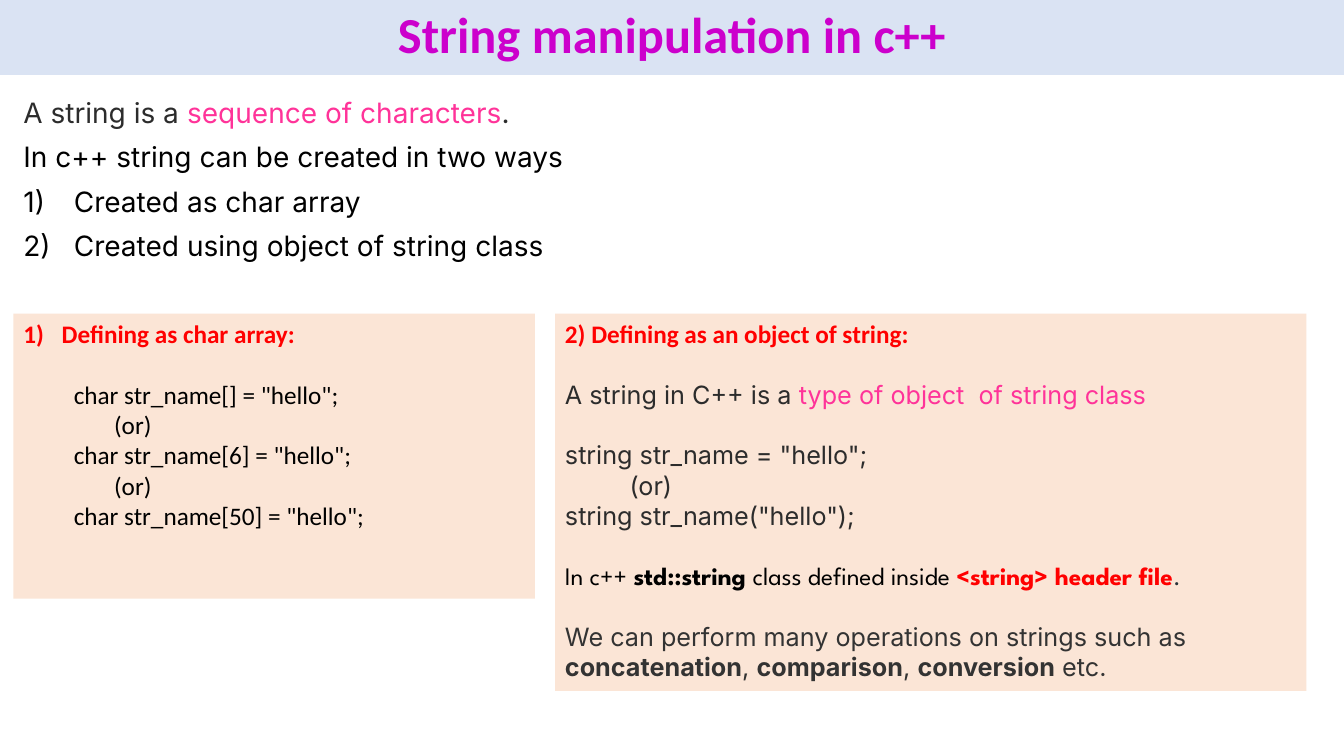
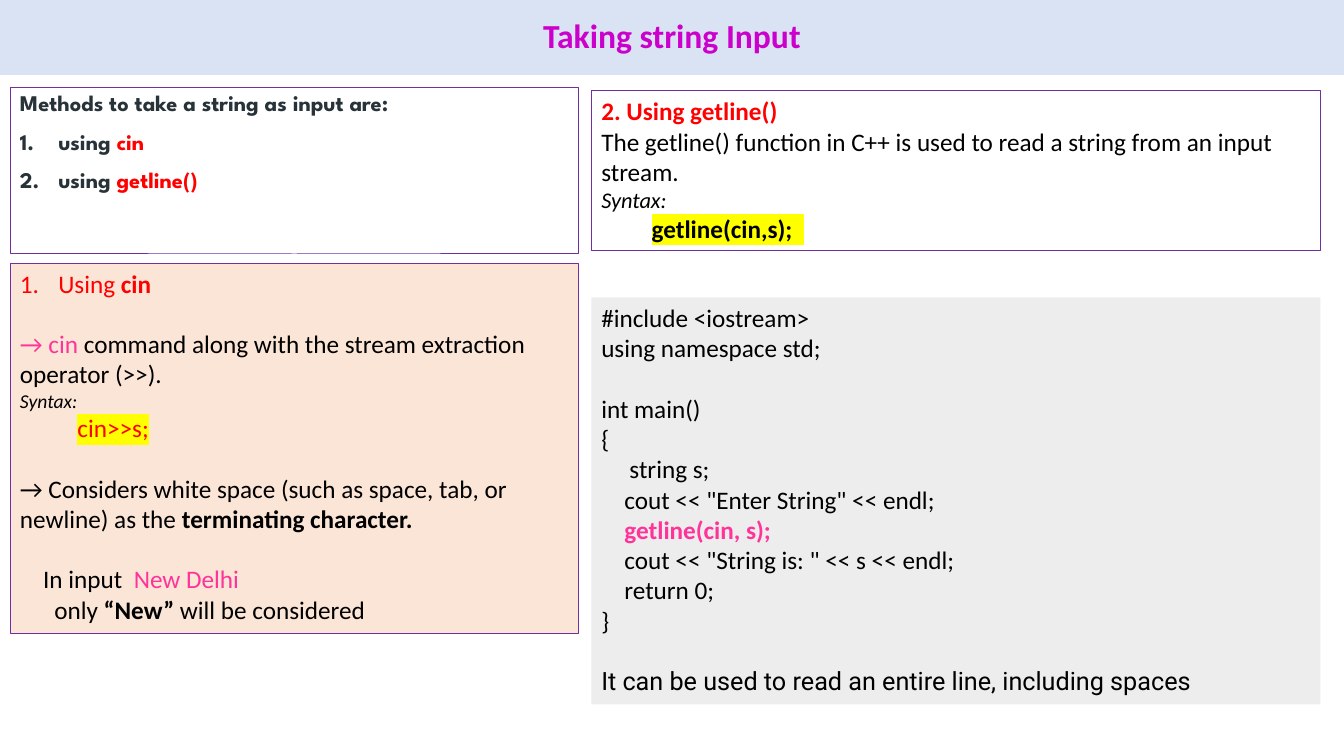
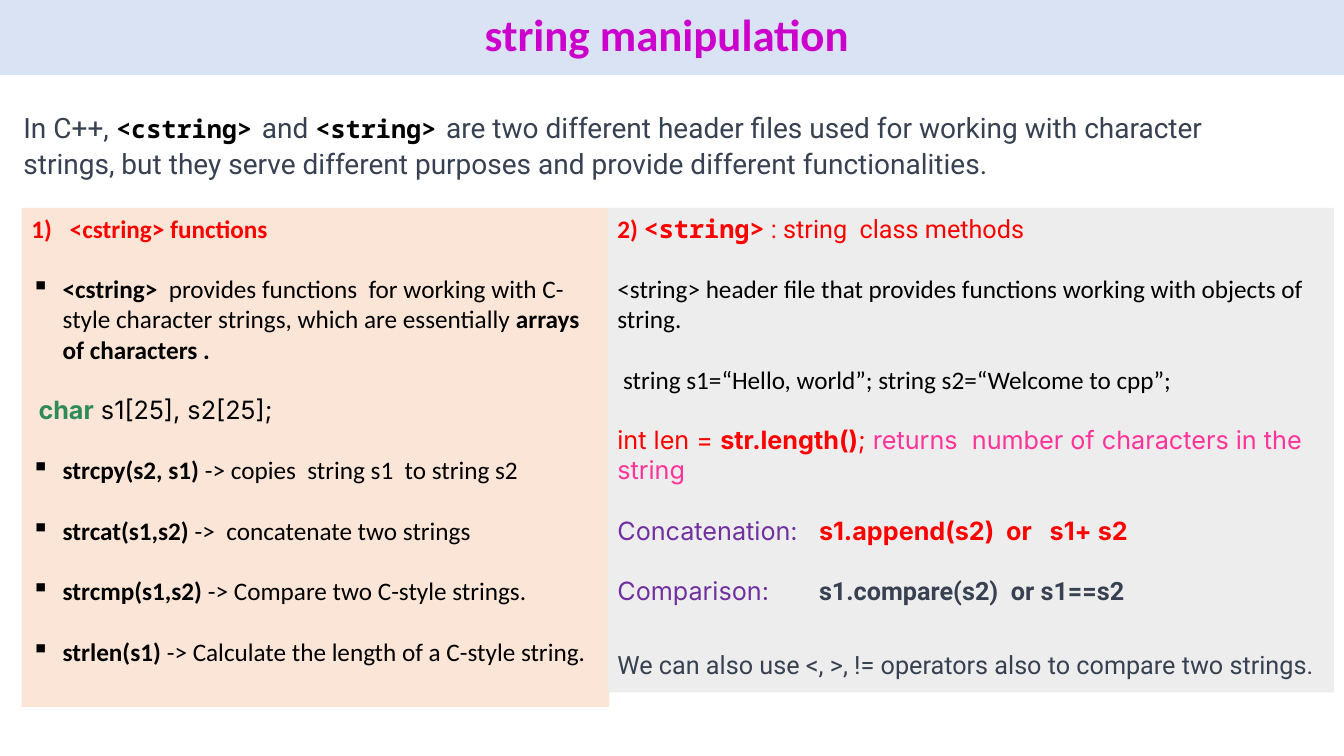
from lxml import etree
from pptx import Presentation
from pptx.dml.color import RGBColor
from pptx.enum.text import MSO_ANCHOR, MSO_AUTO_SIZE, PP_ALIGN
from pptx.oxml.ns import qn
from pptx.util import Inches, Pt

BAND = RGBColor(0xDA, 0xE3, 0xF3)
MAGENTA = RGBColor(0xCC, 0x00, 0xCC)
PEACH = RGBColor(0xFB, 0xE5, 0xD6)
GRAY = RGBColor(0xED, 0xED, 0xED)
PURPLE = RGBColor(0x70, 0x30, 0xA0)
RED = RGBColor(0xFF, 0x00, 0x00)
PINK = RGBColor(0xFF, 0x33, 0x99)
GREEN = RGBColor(0x2E, 0x8B, 0x57)
YELLOW = RGBColor(0xFF, 0xFF, 0x00)
BLACK = RGBColor(0x00, 0x00, 0x00)
CHARCOAL = RGBColor(0x2C, 0x2C, 0x2C)
DARK = RGBColor(0x33, 0x33, 0x33)
TEAL = RGBColor(0x27, 0x32, 0x39)
SLATE = RGBColor(0x37, 0x41, 0x51)

SANS, INTER, ROBOTO = "Calibri", "Inter", "Roboto"
SPARTAN, MONO = "League Spartan", "Noto Sans Mono"
GAP = 21.6  # one 18 pt line, in points

prs = Presentation()
prs.slide_width, prs.slide_height = Inches(13.33), Inches(7.5)
COL, ROW = prs.slide_width / 100, prs.slide_height / 100


def add_box(s, x, y, w, h, fill=None, line=None):
    """Add a text box placed in hundredths of the slide; return its text frame."""
    box = s.shapes.add_textbox(int(x * COL), int(y * ROW), int(w * COL), int(h * ROW))
    if fill is not None:
        box.fill.solid()
        box.fill.fore_color.rgb = fill
    if line is not None:
        box.line.color.rgb = line
        box.line.width = Pt(0.75)
    box.text_frame.word_wrap = True
    return box.text_frame


def add_par(tf, *runs, size=18, font=SANS, color=BLACK, bold=False, before=0,
            spacing=None, left=0, hang=0, number=None, bullet=None, tab=None):
    """Add a paragraph; a run is a text or (text, dict of what differs)."""
    p = tf.paragraphs[0]
    if p.runs:
        p = tf.add_paragraph()
    p.space_before = Pt(before)
    if spacing:
        p.line_spacing = spacing
    pPr = p._p.get_or_add_pPr()
    pPr.set("marL", str(Inches(left + hang)))
    pPr.set("indent", str(-Inches(hang)))
    if number:
        etree.SubElement(pPr, qn("a:buAutoNum"), type=number)
    if bullet:
        etree.SubElement(pPr, qn("a:buChar"), char=bullet)
    if tab:
        tabs = etree.SubElement(pPr, qn("a:tabLst"))
        etree.SubElement(tabs, qn("a:tab"), pos=str(Inches(tab)), algn="l")
    for run in runs:
        text, own = (run, {}) if isinstance(run, str) else run
        r = p.add_run()
        r.text = text
        r.font.size = Pt(own.get("size", size))
        r.font.name = own.get("font", font)
        r.font.bold = own.get("bold", bold)
        r.font.italic = own.get("italic", False)
        r.font.color.rgb = own.get("color", color)
        if "mark" in own:
            mark = etree.Element(qn("a:highlight"))
            etree.SubElement(mark, qn("a:srgbClr"), val=str(own["mark"]))
            r._r.rPr.find(qn("a:latin")).addprevious(mark)
    return p


B = {"bold": True}
RED_RUN, PINK_RUN = {"color": RED}, {"color": PINK}
RED_BOLD = {"color": RED, "bold": True}
HEAD = {"color": RED, "bold": True}
PAREN, PERIOD = "arabicParenR", "arabicPeriod"

slides = []
for title, size in (("String manipulation in c++", 36),
                    ("Taking string Input", 24),
                    ("string manipulation ", 32)):
    s = prs.slides.add_slide(prs.slide_layouts[5])
    band = s.shapes.title
    band.left, band.top = 0, 0
    band.width, band.height = prs.slide_width, int(9.9 * ROW)
    band.fill.solid()
    band.fill.fore_color.rgb = BAND
    tf = band.text_frame
    tf.auto_size = MSO_AUTO_SIZE.NONE
    tf.vertical_anchor = MSO_ANCHOR.MIDDLE
    p = add_par(tf, title, size=size, color=MAGENTA, bold=True, spacing=0.9)
    p.alignment = PP_ALIGN.CENTER
    slides.append(s)
ways, reading, headers = slides

# Slide 1: two ways to create a string
tf = add_box(ways, 1, 12.5, 96.3, 24.9)
lead = {"size": 20, "font": INTER, "before": 10, "spacing": 0.9}
add_par(tf, "A string is a ", ("sequence of characters", PINK_RUN), ".",
        color=CHARCOAL, **lead)
add_par(tf, "In c++ string can be created in two ways", **lead)
for way in ("Created as char array", "Created using object of string class"):
    add_par(tf, way, hang=0.5, number=PAREN, **lead)

tf = add_box(ways, 1, 41.5, 38.8, 37.7, PEACH)
add_par(tf, "Defining as char array:", hang=0.38, number=PAREN, **HEAD)
for i, length in enumerate(("", "6", "50")):
    if i:
        add_par(tf, "(or)", left=0.9)
    add_par(tf, f'char str_name[{length}] = "hello";', left=0.5, before=0 if i else GAP)

tf = add_box(ways, 41.3, 41.5, 55.9, 49.9, PEACH)
add_par(tf, "2) Defining as an object of string:", **HEAD)
code = {"font": INTER, "color": CHARCOAL}
add_par(tf, "A string in C++ is a ", ("type of object  of string class", PINK_RUN),
        before=GAP, **code)
add_par(tf, 'string str_name = "hello";', before=GAP, **code)
add_par(tf, "(or)", left=0.64, **code)
add_par(tf, 'string str_name("hello");', **code)
add_par(tf, "In c++ ", ("std::string ", B), "class defined inside ",
        ("<string> header file", RED_BOLD), (".", {"color": TEAL}),
        font=SPARTAN, before=GAP)
add_par(tf, "We can perform many operations on strings such as ",
        ("concatenation", B), ", ", ("comparison", B), ", ", ("conversion", B), " etc.",
        font=INTER, color=DARK, before=GAP)

# Slide 2: cin and getline()
tf = add_box(reading, 0.75, 11.6, 42.3, 22, line=PURPLE)
method = {"size": 16, "font": SPARTAN, "color": TEAL, "bold": True,
          "before": 10, "spacing": 0.9}
add_par(tf, "Methods to take a string as input are:", **method)
for name in ("cin", "getline()"):
    add_par(tf, "using ", (name, RED_RUN), hang=0.38, number=PERIOD, **method)

tf = add_box(reading, 0.75, 34.8, 42.3, 48.95, PEACH, PURPLE)
add_par(tf, "Using ", ("cin", B), color=RED, hang=0.38, number=PERIOD)
add_par(tf, ("→ cin", PINK_RUN),
        " command along with the stream extraction operator (>>).", before=GAP)
add_par(tf, ("Syntax:", {"size": 14, "italic": True}))
add_par(tf, ("cin>>s;", {"color": RED, "mark": YELLOW}), left=0.57)
add_par(tf, "→ Considers white space (such as space, tab, or newline) as the ",
        ("terminating character.", B), before=GAP)
add_par(tf, "In input  ", ("New Delhi", PINK_RUN), left=0.23, before=GAP)
add_par(tf, "only ", ("“New”", B), " will be considered", left=0.34)

tf = add_box(reading, 44, 12, 54.25, 21.1, line=PURPLE)
add_par(tf, "2. Using getline()", **HEAD)
add_par(tf, "The getline() function in C++ is used to read a string from an input stream.")
add_par(tf, ("Syntax:", {"size": 16, "italic": True}))
add_par(tf, ("\tgetline(cin,s);  ", {"bold": True, "mark": YELLOW}), tab=0.28)

tf = add_box(reading, 44, 39.35, 54.25, 53.85, GRAY)
for text, style in (
        ("#include <iostream>", {}),
        ("using namespace std;", {}),
        ("int main()", {"before": GAP}),
        ("{", {}),
        ("string s;", {"left": 0.28}),
        ('cout << "Enter String" << endl;', {"left": 0.23}),
        ("getline(cin, s);", {"left": 0.23, "color": PINK, "bold": True}),
        ('cout << "String is: " << s << endl;', {"left": 0.23}),
        ("return 0;", {"left": 0.23}),
        ("}", {}),
        ("It can be used to read an entire line, including spaces",
         {"font": ROBOTO, "before": GAP})):
    add_par(tf, text, **style)

# Slide 3: <cstring> and <string>
tf = add_box(headers, 1, 12.5, 96.3, 12.3)
header_name = {"size": 18, "font": MONO, "color": BLACK, "bold": True}
tall = {"size": 28}
add_par(tf, "In C++, ", ("<cstring>", header_name), (" ", tall), "and ",
        ("<string>", header_name), (" ", tall),
        "are two different header files used for working with character strings, "
        "but they serve different purposes and provide different functionalities.",
        size=20, font=ROBOTO, color=SLATE)

tf = add_box(headers, 1.6, 27.5, 43.75, 66, PEACH)
item = {"hang": 0.31, "bullet": "▪", "before": GAP}
add_par(tf, "<cstring> functions", hang=0.38, number=PAREN, **HEAD)
add_par(tf, ("<cstring>  ", B),
        "provides functions  for working with C-style character strings, "
        "which are essentially ", ("arrays of characters .", B), **item)
add_par(tf, ("char", {"color": GREEN, "bold": True}), " s1[25], s2[25];",
        font=INTER, left=0.07, before=GAP)
for call, effect in (
        ("strcpy(s2, s1) ", "-> copies  string s1  to string s2"),
        ("strcat(s1,s2) ", "->  concatenate two strings"),
        ("strcmp(s1,s2) ", "-> Compare two C-style strings."),
        ("strlen(s1) ", "-> Calculate the length of a C-style string.")):
    add_par(tf, (call, B), effect, **item)

tf = add_box(headers, 45.2, 27.5, 54.05, 64.1, GRAY)
add_par(tf, ("2) ", B), ("<string>", {"font": MONO, "bold": True}),
        (" : string  class methods", {"font": ROBOTO}), color=RED)
add_par(tf, "<string> header file that provides functions working with objects of string.",
        before=GAP)
add_par(tf, " string s1=“Hello, world”; string s2=“Welcome to cpp”;", before=GAP)
add_par(tf, "int len = ", ("str.length()", B), "; ",
        ("returns  number of characters in the string", PINK_RUN),
        font=INTER, color=RED, before=GAP)
for label, call, style in (
        ("Concatenation:", "s1.append(s2)  or   s1+ s2", RED_BOLD),
        ("Comparison:", "s1.compare(s2)  or s1==s2",
         {"font": ROBOTO, "color": SLATE, "bold": True})):
    add_par(tf, label + "\t", (call, style), font=INTER, color=PURPLE, before=GAP, tab=2)
add_par(tf, "We can also use <, >, != operators also to compare two strings.",
        font=ROBOTO, color=SLATE, before=31)

prs.save("out.pptx")
